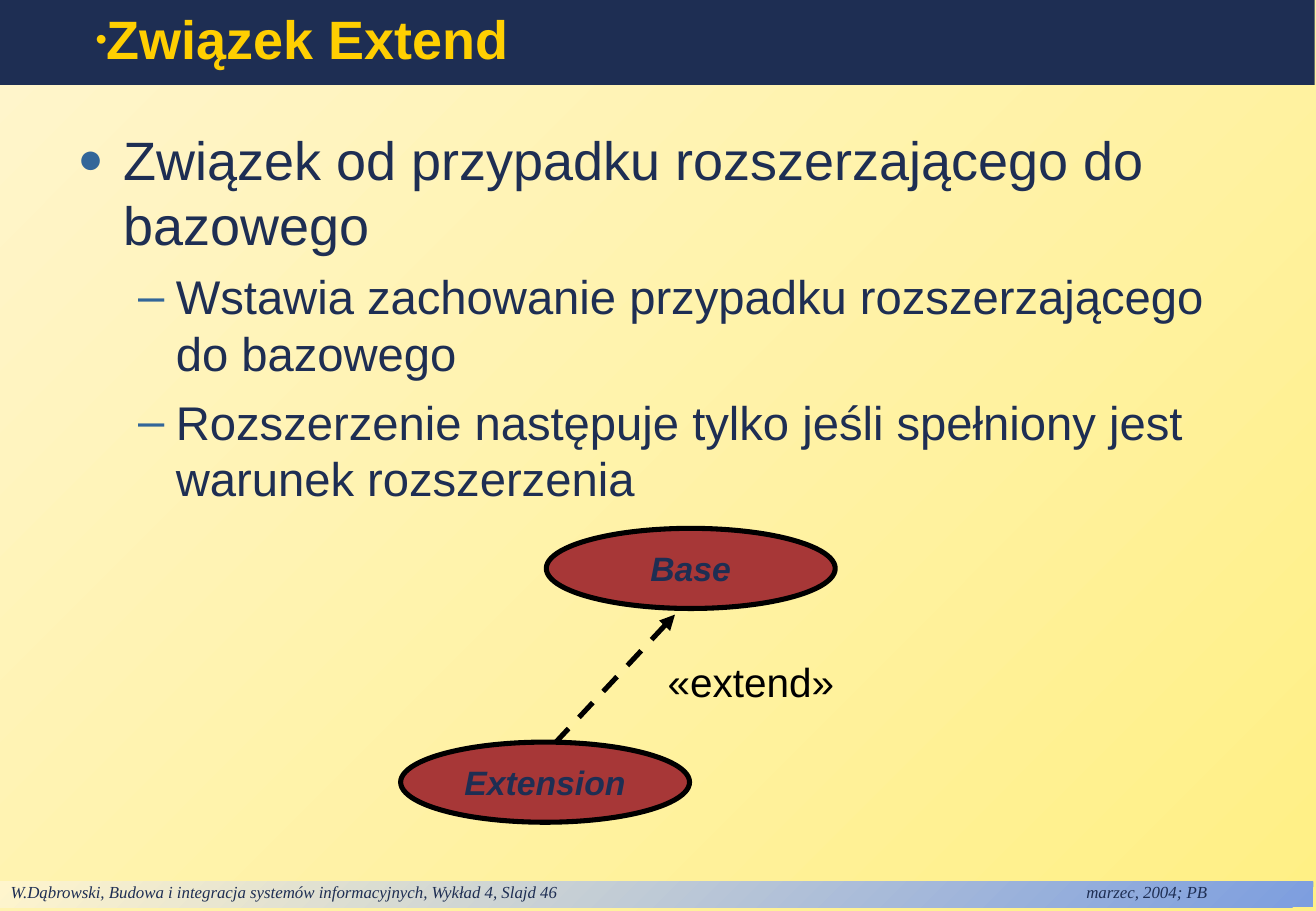
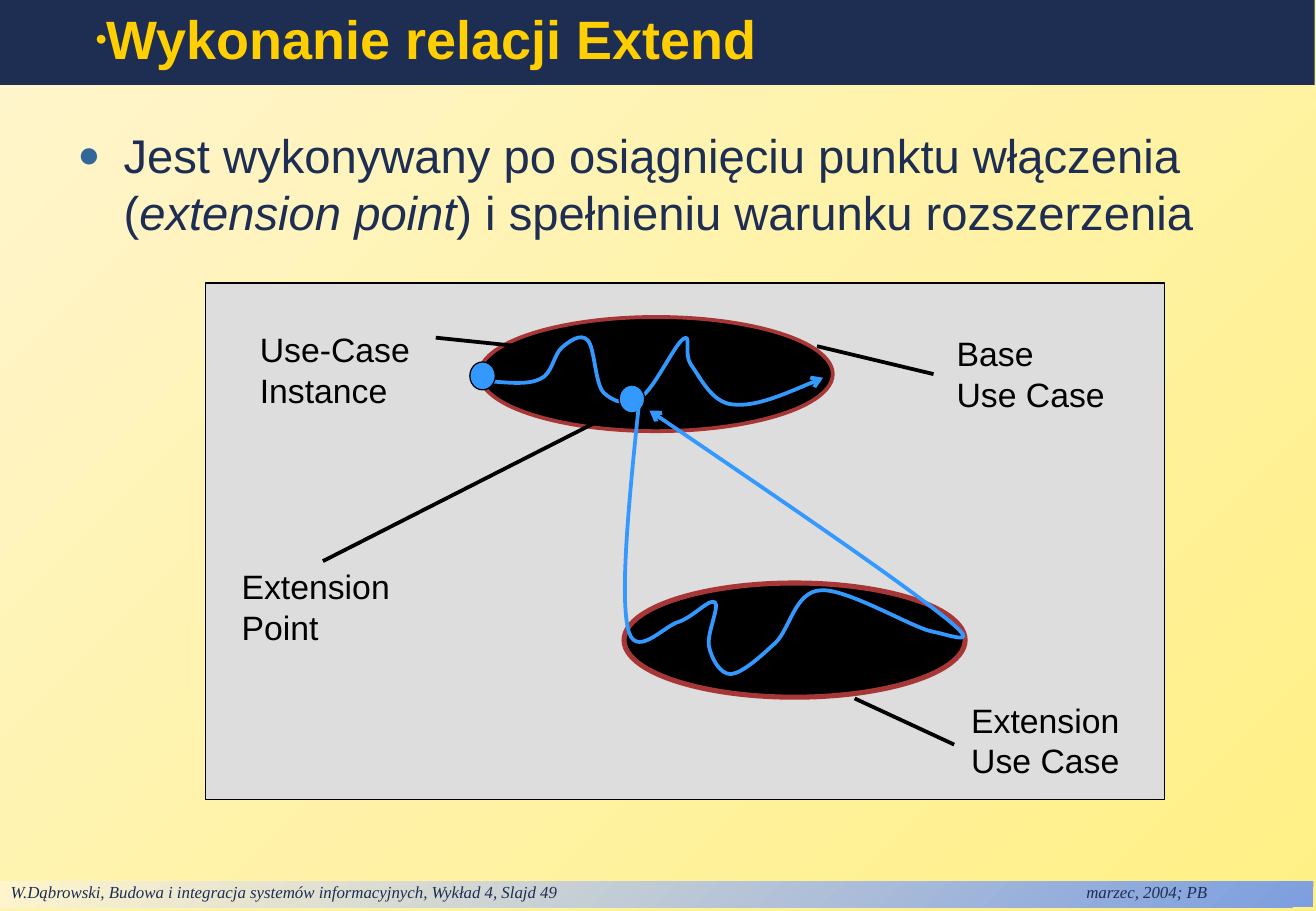
from lxml.etree import SubElement
from pptx import Presentation
from pptx.dml.color import RGBColor
from pptx.enum.dml import MSO_LINE
from pptx.enum.shapes import MSO_CONNECTOR, MSO_SHAPE
from pptx.enum.text import MSO_ANCHOR, PP_ALIGN
from pptx.oxml.ns import qn
from pptx.util import Inches, Pt

NAVY = RGBColor(0x1E, 0x2E, 0x53)
GOLD = RGBColor(0xFF, 0xCF, 0x01)
YELLOW = RGBColor(0xFF, 0xF0, 0x85)
CREAM = RGBColor(0xFF, 0xF5, 0xCD)
FOOTER_BLUE = RGBColor(0x7D, 0x9E, 0xDF)
BULLET_BLUE = RGBColor(0x33, 0x66, 0x99)
FLOW_BLUE = RGBColor(0x33, 0x99, 0xFF)
RED = RGBColor(0xA7, 0x37, 0x37)
GRAY = RGBColor(0xDD, 0xDD, 0xDD)
BLACK = RGBColor(0, 0, 0)

SLIDE_WIDTH, SLIDE_HEIGHT = 10.84, 7.5
BODY_BOX = (0.54, 0.99, 9.89, 5.79)
BODY_LEVELS = [("●", 0.38, -0.38, 80), ("–", 0.81, -0.31, 100)]

BASE_FLOW = [
    (2.35, 0.81),
    (2.5, 0.82), (2.66, 0.84), (2.76, 0.79),
    (2.86, 0.75), (2.87, 0.59), (2.94, 0.53),
    (3.0, 0.48), (3.09, 0.41), (3.15, 0.47),
    (3.21, 0.53), (3.21, 0.82), (3.28, 0.9),
    (3.36, 0.98), (3.49, 1.02), (3.59, 0.94),
    (3.7, 0.87), (3.87, 0.5), (3.94, 0.46),
    (4.01, 0.41), (3.94, 0.58), (4.0, 0.67),
    (4.07, 0.76), (4.17, 0.99), (4.35, 1.0),
    (4.53, 1.02), (4.81, 0.9), (5.09, 0.78),
]
EXTENSION_FLOW = [
    (3.57, 1.03),
    (3.49, 1.79), (3.42, 2.54), (3.48, 2.83),
    (3.53, 3.12), (3.78, 2.82), (3.9, 2.79),
    (4.02, 2.75), (4.16, 2.59), (4.2, 2.63),
    (4.24, 2.66), (4.13, 2.89), (4.15, 2.99),
    (4.17, 3.09), (4.24, 3.22), (4.33, 3.22),
    (4.43, 3.21), (4.58, 3.07), (4.7, 2.96),
    (4.82, 2.84), (4.86, 2.54), (5.07, 2.53),
    (5.28, 2.51), (5.83, 2.84), (5.99, 2.87),
    (6.15, 2.9), (6.44, 3.02), (6.05, 2.72),
    (5.66, 2.41), (4.66, 1.73), (3.66, 1.05),
]


def set_font(paragraph, size, color, name="Arial", bold=None, italic=None):
    font = paragraph.font
    font.name, font.size = name, Pt(size)
    font.bold, font.italic = bold, italic
    font.color.rgb = color


def set_margins(frame, left, top, right, bottom):
    frame.margin_left, frame.margin_top = Inches(left), Inches(top)
    frame.margin_right, frame.margin_bottom = Inches(right), Inches(bottom)


def set_bullet(paragraph, character, margin, indent, color, percent):
    properties = paragraph._p.get_or_add_pPr()
    properties.set("marL", str(Inches(margin)))
    properties.set("indent", str(Inches(indent)))
    bullet_color = SubElement(properties, qn("a:buClr"))
    SubElement(bullet_color, qn("a:srgbClr"), val=str(color))
    SubElement(properties, qn("a:buSzPct"), val=str(percent * 1000))
    SubElement(properties, qn("a:buFont"), typeface="Arial")
    SubElement(properties, qn("a:buChar"), char=character)


def set_tab(paragraph, position):
    tabs = SubElement(paragraph._p.get_or_add_pPr(), qn("a:tabLst"))
    SubElement(tabs, qn("a:tab"), pos=str(Inches(position)), algn="l")


def set_gradient(fill, start, end):
    fill.gradient()
    fill.gradient_angle = 135
    for stop, color, position in zip(fill.gradient_stops, (start, end), (0, 1)):
        stop.color.rgb = color
        stop.position = position


def set_arrow(line, kind):
    SubElement(line._get_or_add_ln(), qn("a:tailEnd"), type=kind)


def add_figure(slide, kind, left, top, width, height, fill=None, line=None, weight=0.75):
    shape = slide.shapes.add_shape(
        kind, Inches(left), Inches(top), Inches(width), Inches(height))
    shape.shadow.inherit = False
    if fill is not None:
        shape.fill.solid()
        shape.fill.fore_color.rgb = fill
    if line is None:
        shape.line.fill.background()
    else:
        shape.line.color.rgb = line
        shape.line.width = Pt(weight)
    return shape


def add_line(slide, start, end, weight):
    connector = slide.shapes.add_connector(
        MSO_CONNECTOR.STRAIGHT, *(Inches(value) for value in (*start, *end)))
    connector.line.color.rgb = BLACK
    connector.line.width = Pt(weight)
    SubElement(connector._element.spPr, qn("a:effectLst"))
    return connector


def add_label(slide, left, top, width, height, lines, size):
    box = slide.shapes.add_textbox(
        Inches(left), Inches(top), Inches(width), Inches(height))
    frame = box.text_frame
    frame.word_wrap = True
    set_margins(frame, 0.12, 0.06, 0.12, 0.06)
    frame.text = "\n".join(lines)
    for paragraph in frame.paragraphs:
        set_font(paragraph, size, BLACK)


def add_flow(slide, left, top, points):
    start, *rest = [(Inches(left + x), Inches(top + y)) for x, y in points]
    builder = slide.shapes.build_freeform(*start)
    builder.add_line_segments(rest, close=False)
    shape = builder.convert_to_shape()
    outline = shape._element.xpath(".//a:path")[0]
    segments = outline.findall(qn("a:lnTo"))
    for index in range(0, len(segments), 3):
        curve = SubElement(outline, qn("a:cubicBezTo"))
        for segment in segments[index:index + 3]:
            curve.append(segment[0])
            outline.remove(segment)
    shape.shadow.inherit = False
    shape.fill.background()
    shape.line.color.rgb = FLOW_BLUE
    shape.line.width = Pt(2.25)
    set_arrow(shape.line, "arrow")


def add_footer(slide, number):
    band = add_figure(slide, MSO_SHAPE.RECTANGLE, -0.01, 7.26, 10.83, 0.21)
    set_gradient(band.fill, FOOTER_BLUE, CREAM)
    frame = band.text_frame
    frame.vertical_anchor = MSO_ANCHOR.TOP
    set_margins(frame, 0.1, 0, 0.1, 0.04)
    paragraph = frame.paragraphs[0]
    paragraph.text = ("W.Dąbrowski, Budowa i integracja systemów informacyjnych, "
                      f"Wykład 4, Slajd {number}\tmarzec, 2004; PB")
    paragraph.alignment = PP_ALIGN.LEFT
    set_tab(paragraph, 8.86)
    set_font(paragraph, 10, NAVY, "Times New Roman", italic=True)


def add_title(slide, title):
    band = add_figure(slide, MSO_SHAPE.RECTANGLE, 0, 0, 10.83, 0.7, NAVY)
    frame = band.text_frame
    frame.vertical_anchor = MSO_ANCHOR.MIDDLE
    set_margins(frame, 0.1, 0.05, 0.1, 0.05)
    paragraph = frame.paragraphs[0]
    paragraph.text = title
    paragraph.alignment = PP_ALIGN.LEFT
    set_bullet(paragraph, "•", 0.29, 0.4, GOLD, 60)
    paragraph.line_spacing = 0.9
    set_font(paragraph, 32, GOLD, bold=True)


def add_body(slide, left, top, width, height, items):
    box = slide.shapes.add_textbox(
        Inches(left), Inches(top), Inches(width), Inches(height))
    frame = box.text_frame
    frame.word_wrap = True
    set_margins(frame, 0.1, 0.05, 0.1, 0.05)
    for index, (level, size, parts) in enumerate(items):
        paragraph = frame.add_paragraph() if index else frame.paragraphs[0]
        paragraph.level = level
        character, margin, indent, percent = BODY_LEVELS[level]
        set_bullet(paragraph, character, margin, indent, BULLET_BLUE, percent)
        if index:
            paragraph.space_before = Pt(7)
        set_font(paragraph, size, NAVY)
        for text, italic in parts:
            run = paragraph.add_run()
            run.text = text
            if italic:
                run.font.italic = True


def add_use_case(slide, left, top, name):
    ellipse = add_figure(slide, MSO_SHAPE.OVAL, left, top, 2.38, 0.66, RED, BLACK, 3)
    frame = ellipse.text_frame
    frame.word_wrap = False
    frame.vertical_anchor = MSO_ANCHOR.MIDDLE
    paragraph = frame.paragraphs[0]
    paragraph.text = name
    paragraph.alignment = PP_ALIGN.CENTER
    set_font(paragraph, 20, NAVY, bold=True, italic=True)


def add_extend_diagram(slide, left, top):
    add_use_case(slide, left, top + 1.76, "Extension")
    add_use_case(slide, left + 1.2, top, "Base")
    arrow = add_line(slide, (left + 1.27, top + 1.77), (left + 2.26, top + 0.71), 3)
    arrow.line.dash_style = MSO_LINE.DASH
    set_arrow(arrow.line, "triangle")
    add_label(slide, left + 2.08, top + 1, 1.8, 0.52, ["«extend»"], 24)


def add_flow_panel(slide, left, top, width, height):
    add_figure(slide, MSO_SHAPE.RECTANGLE, left, top, width, height, GRAY, BLACK)
    for x, y, lines in [
        (0.33, 0.32, ["Use-Case", "Instance"]),
        (6.07, 0.35, ["Base", "Use Case"]),
        (6.19, 3.37, ["Extension", "Use Case"]),
        (0.18, 2.27, ["Extension", "Point"]),
    ]:
        add_label(slide, left + x, top + y, 1.6, 0.79, lines, 20)
    for x, y, ellipse_width, weight in [(2.26, 0.28, 2.91, 2.25), (3.45, 2.47, 2.81, 3)]:
        add_figure(slide, MSO_SHAPE.OVAL, left + x, top + y, ellipse_width, 0.94,
                   BLACK, RED, weight)
    for x1, y1, x2, y2 in [
        (6.0, 0.75, 5.04, 0.52),
        (1.9, 0.45, 2.87, 0.55),
        (0.97, 2.29, 3.35, 1.08),
        (5.35, 3.42, 6.17, 3.8),
    ]:
        add_line(slide, (left + x1, top + y1), (left + x2, top + y2), 2.25)
    add_flow(slide, left, top, BASE_FLOW)
    for x, y in [(2.18, 0.65), (3.41, 0.84)]:
        add_figure(slide, MSO_SHAPE.OVAL, left + x, top + y, 0.21, 0.23, FLOW_BLUE, BLACK)
    add_flow(slide, left, top, EXTENSION_FLOW)


def add_lecture_slide(presentation, number, title, items):
    slide = presentation.slides.add_slide(presentation.slide_layouts[6])
    add_footer(slide, number)
    add_title(slide, title)
    add_body(slide, *BODY_BOX, items)
    return slide


def main():
    presentation = Presentation()
    presentation.slide_width = Inches(SLIDE_WIDTH)
    presentation.slide_height = Inches(SLIDE_HEIGHT)
    set_gradient(presentation.slide_master.background.fill, YELLOW, CREAM)

    slide = add_lecture_slide(presentation, 46, "Związek Extend", [
        (0, 32, [("Związek od przypadku rozszerzającego do bazowego", False)]),
        (1, 28, [("Wstawia zachowanie przypadku rozszerzającego do bazowego", False)]),
        (1, 28, [("Rozszerzenie następuje tylko jeśli spełniony jest "
                  "warunek rozszerzenia", False)]),
    ])
    add_extend_diagram(slide, 3.3, 4.35)

    slide = add_lecture_slide(presentation, 49, "Wykonanie relacji Extend", [
        (0, 28, [("Jest wykonywany po osiągnięciu punktu włączenia (", False),
                 ("extension point", True),
                 (") i spełnieniu warunku rozszerzenia", False)]),
    ])
    add_flow_panel(slide, 1.69, 2.33, 7.9, 4.25)

    presentation.save("out.pptx")


if __name__ == "__main__":
    main()
